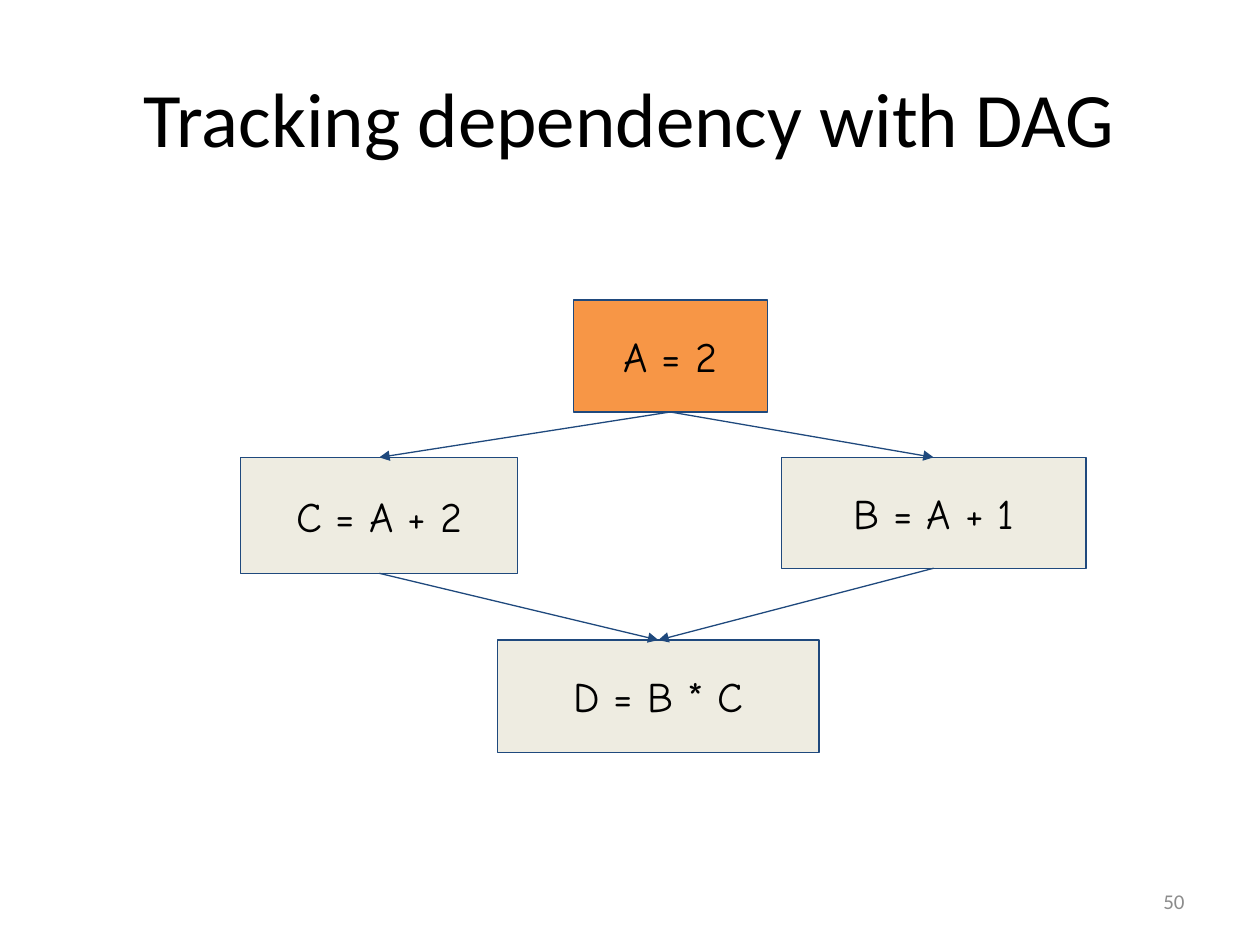
from dataclasses import dataclass

from lxml import etree
from pptx import Presentation
from pptx.dml.color import RGBColor
from pptx.enum.shapes import MSO_CONNECTOR, MSO_SHAPE
from pptx.enum.text import MSO_ANCHOR, PP_ALIGN
from pptx.oxml.ns import qn
from pptx.util import Inches, Pt

RECT = MSO_SHAPE.RECTANGLE
STRAIGHT = MSO_CONNECTOR.STRAIGHT
MIDDLE = MSO_ANCHOR.MIDDLE
CENTER, RIGHT = PP_ALIGN.CENTER, PP_ALIGN.RIGHT
TOP, BOTTOM = 0, 2
COLS, ROWS = 100, 75
CELL = Inches(0.1)


@dataclass(frozen=True)
class Style:
    font: str
    size: float
    color: str


@dataclass(frozen=True)
class Theme:
    title: Style = Style("Calibri", 44, "000000")
    node: Style = Style("Comic Neue", 24, "000000")
    page: Style = Style("Calibri", 12, "8C8C8C")
    line: str = "1F497D"
    width: float = 0.75
    root: str = "F79646"
    leaf: str = "EEECE1"
    inset: float = 0.7


@dataclass(frozen=True)
class Area:
    col: float
    row: float
    wide: float
    high: float

    def emu(self) -> list[int]:
        return [round(n * CELL) for n in (self.col, self.row, self.wide, self.high)]


@dataclass(frozen=True)
class Node:
    text: str
    area: Area
    fill: str


THEME = Theme()
NODES = {
    "A": Node("A = 2", Area(45.5, 23.8, 15.4, 8.9), THEME.root),
    "B": Node("B = A + 1", Area(62, 36.3, 24.2, 8.8), THEME.leaf),
    "C": Node("C = A + 2", Area(19.1, 36.3, 22, 9.2), THEME.leaf),
    "D": Node("D = B * C", Area(39.5, 50.8, 25.5, 8.9), THEME.leaf),
}
EDGES = ("BD", "CD", "AB", "AC")


def rgb(code: str) -> RGBColor:
    return RGBColor.from_string(code)


def put_text(shape, text: str, style: Style, align) -> None:
    frame = shape.text_frame
    frame.word_wrap = True
    frame.vertical_anchor = MIDDLE
    para = frame.paragraphs[0]
    para.alignment = align
    run = para.add_run()
    run.text = text
    run.font.name = style.font
    run.font.size = Pt(style.size)
    run.font.color.rgb = rgb(style.color)


def put_line(shape) -> None:
    shape.line.color.rgb = rgb(THEME.line)
    shape.line.width = Pt(THEME.width)


def add_label(slide, text: str, area: Area, style: Style, align) -> None:
    put_text(slide.shapes.add_textbox(*area.emu()), text, style, align)


def add_node(slide, node: Node):
    box = slide.shapes.add_shape(RECT, *node.area.emu())
    box.shadow.inherit = False
    box.fill.solid()
    box.fill.fore_color.rgb = rgb(node.fill)
    put_line(box)
    frame = box.text_frame
    pad = round(THEME.inset * CELL)
    frame.margin_left = frame.margin_right = pad
    frame.margin_top = frame.margin_bottom = pad
    put_text(box, node.text, THEME.node, CENTER)
    return box


def add_edge(slide, start, end) -> None:
    edge = slide.shapes.add_connector(STRAIGHT, 0, 0, 0, 0)
    edge.begin_connect(start, BOTTOM)
    edge.end_connect(end, TOP)
    put_line(edge)
    props = edge.line._get_or_add_ln()
    etree.SubElement(props, qn("a:tailEnd"), type="triangle")
    etree.SubElement(edge._element.spPr, qn("a:effectLst"))


def main() -> None:
    deck = Presentation()
    deck.slide_width, deck.slide_height = COLS * CELL, ROWS * CELL
    slide = deck.slides.add_slide(deck.slide_layouts[6])
    add_label(slide, "Tracking dependency with DAG", Area(5, 3, 90, 12.5), THEME.title, CENTER)
    boxes = {key: add_node(slide, node) for key, node in NODES.items()}
    for start, end in EDGES:
        add_edge(slide, boxes[start], boxes[end])
    add_label(slide, "50", Area(71.7, 69.5, 23.3, 4), THEME.page, RIGHT)
    deck.save("out.pptx")


if __name__ == "__main__":
    main()
